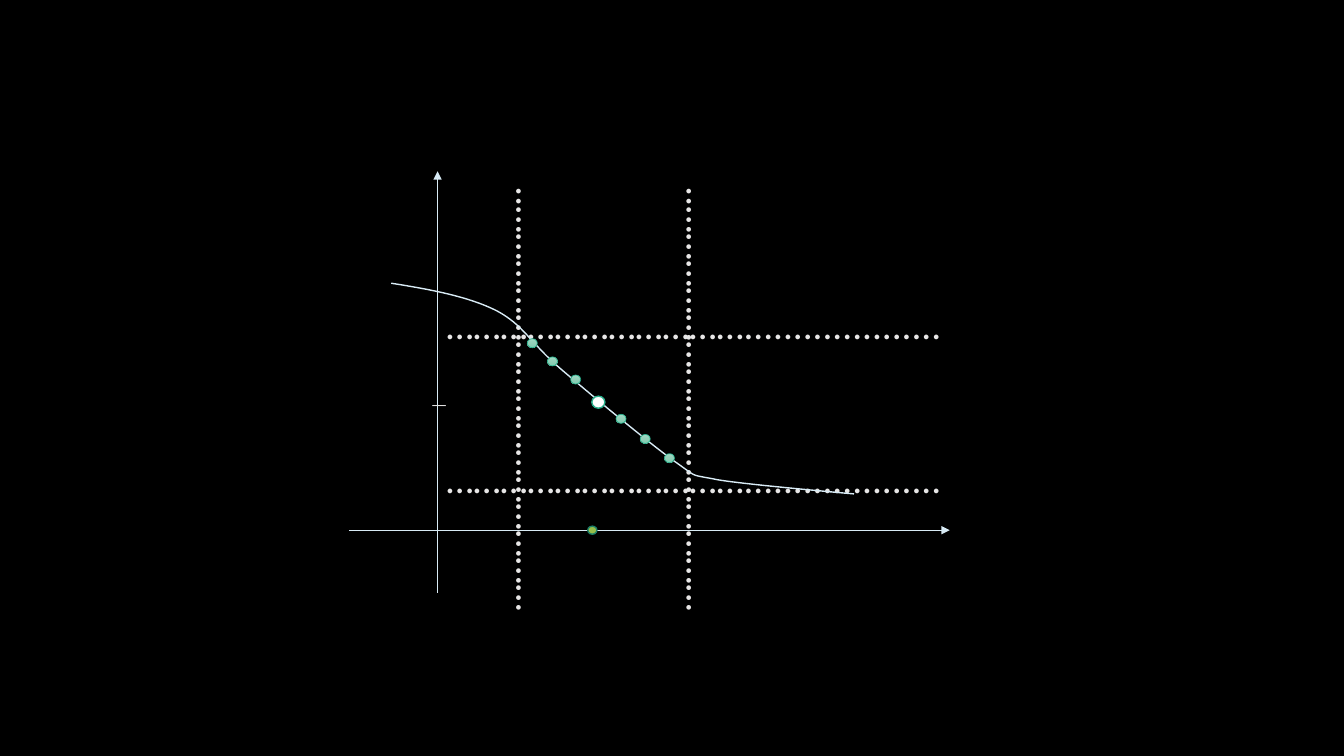
from copy import deepcopy
from pptx import Presentation
from pptx.dml.color import RGBColor as RGB
from pptx.enum.shapes import MSO_CONNECTOR as LINK, MSO_SHAPE as KIND
from pptx.enum.text import MSO_AUTO_SIZE as AUTO
from pptx.oxml.ns import qn
from pptx.util import Inches as In, Pt
from lxml.etree import SubElement as Sub

# Content: lengths in inches
WIDE, HIGH = 13.33, 7.5
BLACK, WHITE = RGB(0, 0, 0), RGB(255, 255, 255)
PALE, GREY = RGB(0xD8, 0xEB, 0xF5), RGB(0xE7, 0xE6, 0xE6)
TEAL, DEEP, LIME = RGB(0x29, 0xAF, 0x8C), RGB(0x1E, 0x81, 0x68), RGB(0x97, 0xBE, 0x49)
MINT = [(0, RGB(0xA0, 0xDA, 0xC4)), (0.5, RGB(0x93, 0xD0, 0xB9)),
        (1, RGB(0x7E, 0xCD, 0xB1))]

AXES = [((4.34, 5.88), (4.34, 1.7)), ((3.46, 5.26), (9.42, 5.26))]
DOWN = " ………………………………………..",
DOWN = DOWN[0]
OVER = " ……………………………...................."
COLS, ROWS = (6.7, 5.01), (4.74, 3.22)  # centres of the dotted lines
COL_MID, ROW_MID = 3.97, 6.88
START = (3.88, 2.81)
BENDS = [((4.26, 2.87), (4.64, 2.94), (4.92, 3.08)),
         ((5.19, 3.22), (5.26, 3.4), (5.55, 3.65)),
         ((5.84, 3.9), (6.42, 4.38), (6.68, 4.57)),
         ((6.94, 4.75), (6.82, 4.7), (7.12, 4.76)),
         ((7.42, 4.81), (8.47, 4.9), (8.47, 4.9))]
STEPS = 16
DOTS = [(5.23, 3.36), (5.43, 3.54), (5.66, 3.72),
        (6.11, 4.11), (6.35, 4.31), (6.59, 4.5)]

deck = Presentation()
deck.slide_width, deck.slide_height = In(WIDE), In(HIGH)
page = deck.slides.add_slide(deck.slide_layouts[6])
page.background.fill.solid()
page.background.fill.fore_color.rgb = BLACK
items = page.shapes


def text(words, mid, size, turn=0, pt=28, wrap=False):
    x, y = mid
    w, h = size
    box = items.add_textbox(In(x - w / 2), In(y - h / 2), In(w), In(h))
    box.rotation = turn
    frame = box.text_frame
    frame.word_wrap, frame.auto_size = wrap, AUTO.SHAPE_TO_FIT_TEXT
    run = frame.paragraphs[0].add_run()
    run.text = words
    run.font.name, run.font.size = "Calibri", Pt(pt)
    run.font.color.rgb = GREY


def stroke(item, color, pt):
    item.line.color.rgb, item.line.width = color, Pt(pt)


def dot(kind, x, y, w, h, fill, edge, pt):
    item = items.add_shape(kind, In(x), In(y), In(w), In(h))
    item.shadow.inherit = False
    if isinstance(fill, list):
        item.fill.gradient()
        item.fill.gradient_angle = 270
        first = next(item._element.iter(qn("a:gs")))
        first.addnext(deepcopy(first))
        for stop, (at, color) in zip(item.fill.gradient_stops, fill):
            stop.position, stop.color.rgb = at, color
    else:
        item.fill.solid()
        item.fill.fore_color.rgb = fill
    stroke(item, edge, pt)


def bend(a, b, c, d, t):
    u = 1 - t
    return tuple(In(u**3 * p + 3 * u * u * t * q + 3 * u * t * t * r + t**3 * s)
                 for p, q, r, s in zip(a, b, c, d))


# Axes with arrowheads
for (x1, y1), (x2, y2) in AXES:
    axis = items.add_connector(LINK.STRAIGHT, In(x1), In(y1), In(x2), In(y2))
    stroke(axis, PALE, 0.5)
    Sub(axis.line._get_or_add_ln(), qn("a:tailEnd"), type="triangle")
    Sub(axis._element.spPr, qn("a:effectLst"))

# Dotted lines
for x in COLS:
    text(DOWN, (x, COL_MID), (4.57, 0.57), turn=270)
for y in ROWS:
    text(OVER, (ROW_MID, y), (5.28, 0.57))

# Falling curve
path = items.build_freeform(In(START[0]), In(START[1]))
last = START
for b, c, d in BENDS:
    path.add_line_segments([bend(last, b, c, d, n / STEPS)
                            for n in range(1, STEPS + 1)], close=False)
    last = d
curve = path.convert_to_shape()
curve.shadow.inherit = False
curve.fill.background()
stroke(curve, PALE, 1)

# Points on the curve, tick and point on the axis
dot(KIND.OVAL, 5.87, 3.93, 0.13, 0.12, WHITE, TEAL, 1)
for x, y in DOTS:
    dot(KIND.FLOWCHART_CONNECTOR, x, y, 0.1, 0.09, MINT, TEAL, 0.5)
text("|", (4.37, 4.03), (0.27, 0.29), turn=90, pt=11, wrap=True)
dot(KIND.OVAL, 5.83, 5.22, 0.09, 0.08, LIME, DEEP, 1)

deck.save("out.pptx")
